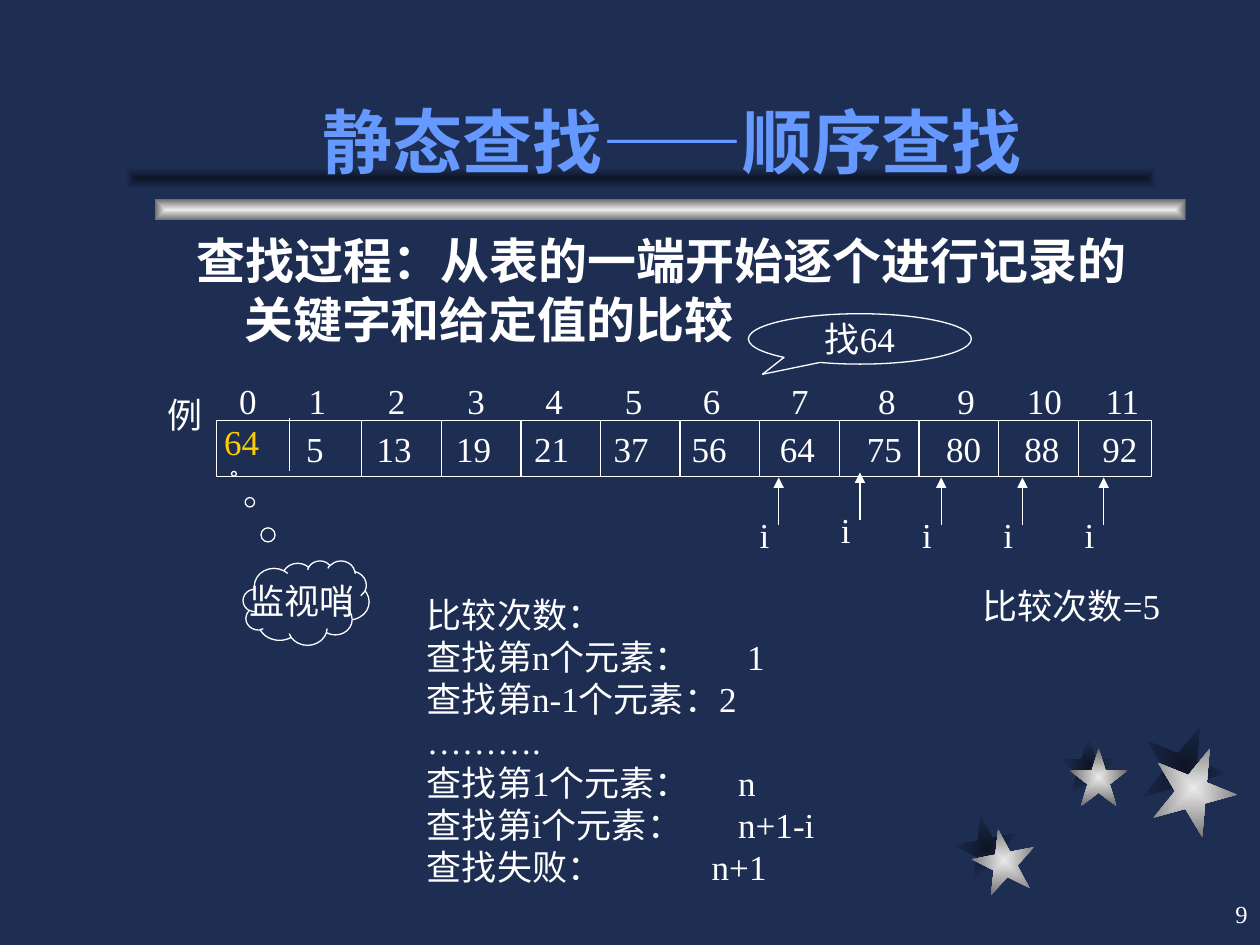
import pptx
import pptx.dml.color
import pptx.enum.lang
import pptx.enum.shapes
import pptx.enum.text
import pptx.oxml
import pptx.oxml.ns
import pptx.util
from lxml import etree

Inches = pptx.util.Inches
Pt = pptx.util.Pt
SHAPE = pptx.enum.shapes.MSO_SHAPE
ALIGN = pptx.enum.text.PP_ALIGN
ANCHOR = pptx.enum.text.MSO_ANCHOR

COLORS = {
    "back": "1E2E53",
    "shade": "0E1526",
    "silver": "EAEAEA",
    "steel": "6C6C6C",
    "title": "6699FF",
    "text": "FFFFFF",
    "sentinel": "FFCC00",
}
FONT = "Times New Roman"
COLUMN_CENTERS = [0.62, 1.25, 1.88, 2.5, 3.13, 3.75, 4.45, 5.14, 5.77, 6.39, 7.01]


def color(name):
    return pptx.dml.color.RGBColor.from_string(COLORS[name])


def qn(tag):
    return pptx.oxml.ns.qn(tag)


def add_tabs(para, stops, align):
    tabs = etree.SubElement(para._p.get_or_add_pPr(), qn("a:tabLst"))
    for stop in stops:
        etree.SubElement(tabs, qn("a:tab"), pos=str(Inches(stop)), algn=align)


def style(para, size=20, ink="text", bold=False, name=FONT):
    font = para.font
    font.size = Pt(size)
    font.bold = bold
    font.color.rgb = color(ink)
    font.language_id = pptx.enum.lang.MSO_LANGUAGE_ID.SIMPLIFIED_CHINESE
    if name:
        font.name = name


def add_text(page, left, top, width, height, text, wrap=False, **look):
    box = page.shapes.add_textbox(Inches(left), Inches(top), Inches(width), Inches(height))
    box.text_frame.word_wrap = wrap
    para = box.text_frame.paragraphs[0]
    para.text = text
    style(para, **look)
    return box


def add_outline(page, kind, left, top, width, height, text="", adjustments=()):
    shape = page.shapes.add_shape(
        kind, Inches(left), Inches(top), Inches(width), Inches(height))
    shape.shadow.inherit = False
    shape.fill.background()
    shape.line.color.rgb = color("text")
    shape.line.width = Pt(0.75)
    for index, value in enumerate(adjustments):
        shape.adjustments[index] = value
    frame = shape.text_frame
    frame.word_wrap = False
    frame.vertical_anchor = ANCHOR.MIDDLE
    para = frame.paragraphs[0]
    para.text = text
    para.alignment = ALIGN.CENTER
    style(para)
    return shape


def add_line(page, x1, y1, x2, y2, arrow=False):
    line = page.shapes.add_connector(
        pptx.enum.shapes.MSO_CONNECTOR.STRAIGHT,
        Inches(x1), Inches(y1), Inches(x2), Inches(y2))
    line.line.color.rgb = color("text")
    line.line.width = Pt(0.75)
    if arrow:
        etree.SubElement(line.line._get_or_add_ln(), qn("a:tailEnd"), type="triangle")
    etree.SubElement(line._element.spPr, qn("a:effectLst"))


def add_glow(page, kind, left, top, width, height, inner, outer, rotation=0):
    shape = page.shapes.add_shape(
        kind, Inches(left), Inches(top), Inches(width), Inches(height))
    shape.shadow.inherit = False
    shape.rotation = rotation
    shape.line.fill.background()
    shape.fill.gradient()
    for stop, name in zip(shape.fill.gradient_stops, (inner, outer)):
        stop.position = 0 if name == inner else 1
        stop.color.rgb = color(name)
    gradient = shape._element.spPr.find(qn("a:gradFill"))
    gradient.remove(gradient.find(qn("a:lin")))
    gradient.append(pptx.oxml.parse_xml(
        '<a:path xmlns:a="http://schemas.openxmlformats.org/drawingml/2006/main" path="rect">'
        '<a:fillToRect l="50000" t="50000" r="50000" b="50000"/></a:path>'))


def decorate(page):
    shadow, metal = ("shade", "back"), ("silver", "steel")
    stars = [
        (7.58, 6.47, 0.5, 349, shadow), (8.41, 5.85, 0.46, 0, shadow),
        (9.06, 5.75, 0.67, 22, shadow), (7.72, 6.58, 0.5, 349, metal),
        (8.49, 5.94, 0.46, 0, metal), (9.14, 5.92, 0.67, 22, metal),
    ]
    for left, top, size, rotation, tones in stars:
        add_glow(page, SHAPE.STAR_5_POINT, left, top, size, size, *tones, rotation)
    add_glow(page, SHAPE.RECTANGLE, 1.23, 1.58, 8.18, 0.17, *metal)
    add_glow(page, SHAPE.RECTANGLE, 1, 1.33, 8.18, 0.17, *shadow)


def set_title(page, left, top, width, height):
    title = page.shapes.title
    title.left, title.top = Inches(left), Inches(top)
    title.width, title.height = Inches(width), Inches(height)
    title.text_frame.vertical_anchor = ANCHOR.BOTTOM
    para = title.text_frame.paragraphs[0]
    para.alignment = ALIGN.CENTER
    style(para, 40, "title", True, None)
    for text, name in (("静态查找", "Noto Sans CJK SC"), ("——", FONT), ("顺序查找", "Arial")):
        span = para.add_run()
        span.text = text
        span.font.name = name
    page.shapes._spTree.append(title._element)


def add_process(page, left, top, width, height):
    box = add_text(page, left, top, width, height,
                   "查找过程：从表的一端开始逐个进行记录的关键字和给定值的比较",
                   wrap=True, size=28, bold=True)
    properties = box.text_frame.paragraphs[0]._p.get_or_add_pPr()
    properties.set("marL", str(Inches(0.38)))
    properties.set("indent", str(-Inches(0.38)))


def add_row_text(frame, items, offset):
    frame.word_wrap = True
    frame.margin_right = 0
    para = frame.paragraphs[0]
    para.alignment = ALIGN.LEFT
    para.text = "\t".join(items)
    for old in para._p.pPr.findall(qn("a:defRPr")):
        para._p.pPr.remove(old)
    add_tabs(para, [center + offset for center in COLUMN_CENTERS], "ctr")
    style(para)


def add_array(page, left, top, width, height):
    add_text(page, left - 0.49, top - 0.27, 0.54, 0.44, "例")
    indexes = add_text(page, left + 0.08, top - 0.38, 7.37, 0.44, "")
    add_row_text(indexes.text_frame, [str(index) for index in range(12)], 0)
    cells = add_outline(page, SHAPE.RECTANGLE, left, top, width, height)
    values = ["", "5", "13", "19", "21", "37", "56", "64", "75", "80", "88", "92"]
    add_row_text(cells.text_frame, values, 0.06)
    for column in range(10):
        x = left + 1.15 + column * 0.632
        add_line(page, x, top, x, top + height)
    add_line(page, left + 0.58, top - 0.02, left + 0.58, top + 0.4)
    add_text(page, left - 0.04, top - 0.05, 0.48, 0.44, "64", ink="sentinel")


def add_pointers(page, left, top, gap):
    for index in range(5):
        x = left + index * gap
        y = top - 0.04 if index == 1 else top
        add_line(page, x, y + 0.38, x, y, arrow=True)
        add_text(page, x - 0.25, y + 0.24, 0.27, 0.44, "i")


def add_comparisons(page, left, top, width, height):
    rows = [
        ("比较次数：", None), ("查找第n个元素：\t1", 2.54), ("查找第n-1个元素：2", None),
        ("……….", None), ("查找第1个元素：\tn", 2.47),
        ("查找第i个元素：\tn+1-i", 2.47), ("查找失败：\tn+1", 2.26),
    ]
    box = page.shapes.add_textbox(Inches(left), Inches(top), Inches(width), Inches(height))
    frame = box.text_frame
    frame.word_wrap = True
    for index, (text, stop) in enumerate(rows):
        para = frame.add_paragraph() if index else frame.paragraphs[0]
        para.text = text
        if stop:
            add_tabs(para, [stop], "l")
        style(para)


def main():
    deck = pptx.Presentation()
    deck.slide_width, deck.slide_height = Inches(10), Inches(7.5)
    page = deck.slides.add_slide(deck.slide_layouts[5])
    page.background.fill.solid()
    page.background.fill.fore_color.rgb = color("back")
    decorate(page)
    number = add_text(page, 7.92, 7, 2.08, 0.5, "9", wrap=True, size=14)
    number.text_frame.vertical_anchor = ANCHOR.MIDDLE
    number.text_frame.paragraphs[0].alignment = ALIGN.RIGHT
    set_title(page, 1.42, 0.25, 7.83, 1.25)
    add_process(page, 1.46, 1.78, 7.91, 1.04)
    add_array(page, 1.72, 3.34, 7.42, 0.44)
    add_outline(page, SHAPE.OVAL_CALLOUT, 5.94, 2.49, 1.77, 0.4, "找64", (-0.437, 0.702))
    add_outline(page, SHAPE.CLOUD_CALLOUT, 1.93, 4.45, 1, 0.67, "监视哨", (-0.573, -1.529))
    add_pointers(page, 6.18, 3.79, 0.645)
    add_text(page, 7.7, 4.59, 1.67, 0.44, "比较次数=5")
    add_comparisons(page, 3.29, 4.66, 3.28, 2.44)
    deck.save("out.pptx")


if __name__ == "__main__":
    main()
